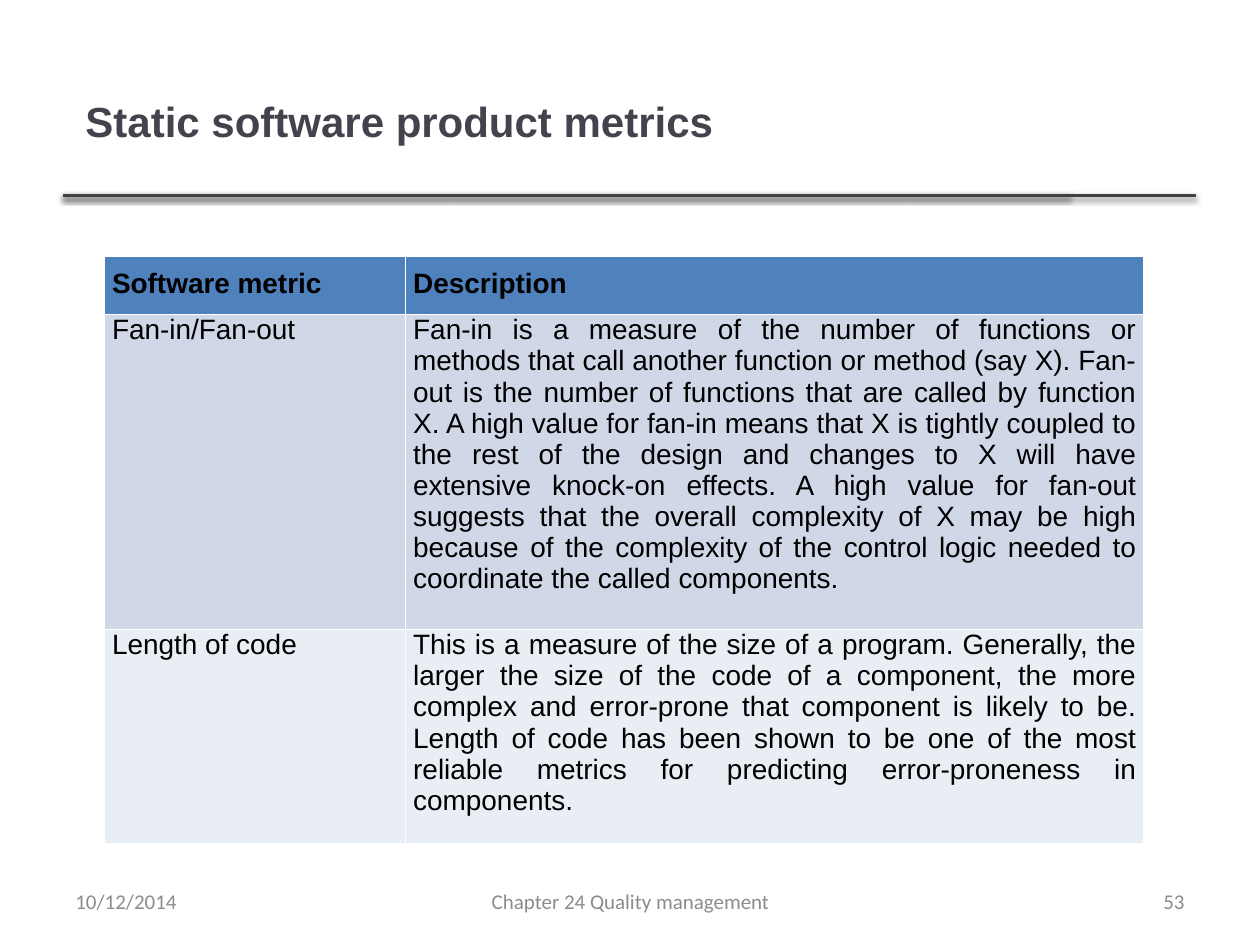
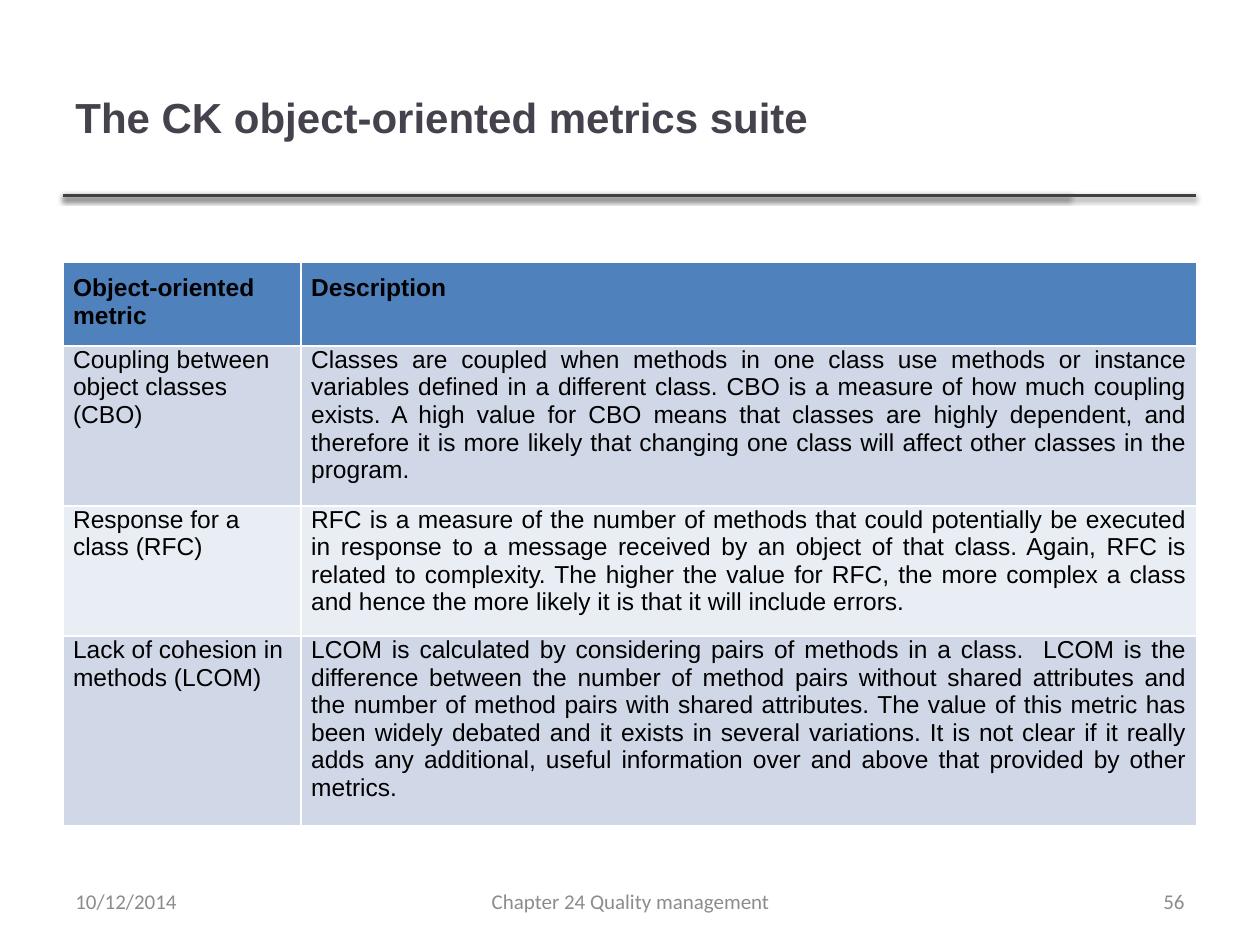
import pptx
import pptx.dml.color
import pptx.enum.shapes
import pptx.enum.text
import pptx.oxml
import pptx.oxml.ns
import pptx.util
from pptx.util import Inches

ALIGN = pptx.enum.text.PP_ALIGN
ANCHOR = pptx.enum.text.MSO_ANCHOR
NAMESPACE = pptx.oxml.ns.nsdecls("a")

TITLE_COLOUR = "46424D"
RULE_COLOUR = "404040"
FOOTER_COLOUR = "8C8C8C"
TEXT_COLOUR = "000000"
HEADER_FILL = "4F81BD"
BAND_FILLS = ["D0D8E8", "E9EDF4"]
BORDER_COLOUR = "FFFFFF"

RULE_SHADOW = (
    f'<a:effectLst {NAMESPACE}>'
    '<a:outerShdw blurRad="39400" dist="20300" dir="5400000" rotWithShape="0">'
    '<a:srgbClr val="000000"><a:alpha val="38000"/></a:srgbClr>'
    '</a:outerShdw></a:effectLst>'
)

slides = [
    {
        "title": "Static software product metrics",
        "title_box": (0.58, 0.42, 7.92, 1.08),
        "number": "53",
        "table_origin": (0.83, 2.03),
        "columns": [2.39, 5.86],
        "row_heights": [0.44, 2.32, 1.58],
        "size": 16,
        "inset": 0.06,
        "rows": [
            ("Software metric", "Description"),
            ("Fan-in/Fan-out",
             "Fan-in is a measure of the number of functions or methods that call "
             "another function or method (say X). Fan-out is the number of functions "
             "that are called by function X. A high value for fan-in means that X is "
             "tightly coupled to the rest of the design and changes to X will have "
             "extensive knock-on effects. A high value for fan-out suggests that the "
             "overall complexity of X may be high because of the complexity of the "
             "control logic needed to coordinate the called components."),
            ("Length of code",
             "This is a measure of the size of a program. Generally, the larger the "
             "size of the code of a component, the more complex and error-prone that "
             "component is likely to be. Length of code has been shown to be one of "
             "the most reliable metrics for predicting error-proneness in components."),
        ],
    },
    {
        "title": "The CK object-oriented metrics suite",
        "title_box": (0.5, 0.3, 7.98, 1.25),
        "number": "56",
        "table_origin": (0.5, 2.08),
        "columns": [1.89, 7.11],
        "row_heights": [0.63, 1.19, 0.98, 1.41],
        "size": 14,
        "inset": 0.08,
        "rows": [
            ("Object-oriented metric", "Description"),
            ("Coupling between object classes (CBO)",
             "Classes are coupled when methods in one class use methods or instance "
             "variables defined in a different class. CBO is a measure of how much "
             "coupling exists. A high value for CBO means that classes are highly "
             "dependent, and therefore it is more likely that changing one class will "
             "affect other classes in the program."),
            ("Response for a class (RFC)",
             "RFC is a measure of the number of methods that could potentially be "
             "executed in response to a message received by an object of that class. "
             "Again, RFC is related to complexity. The higher the value for RFC, the "
             "more complex a class and hence the more likely it is that it will "
             "include errors."),
            ("Lack of cohesion in methods (LCOM)",
             "LCOM is calculated by considering pairs of methods in a class.  LCOM is "
             "the difference between the number of method pairs without shared "
             "attributes and the number of method pairs with shared attributes. The "
             "value of this metric has been widely debated and it exists in several "
             "variations. It is not clear if it really adds any additional, useful "
             "information over and above that provided by other metrics."),
        ],
    },
]


def colour(value):
    """Turn a hex string into a colour."""
    return pptx.dml.color.RGBColor.from_string(value)


def write(text_frame, text, font_name, size, text_colour, bold, alignment):
    """Put one formatted paragraph in a text frame."""
    text_frame.text = text
    text_frame.word_wrap = True
    paragraph = text_frame.paragraphs[0]
    paragraph.alignment = alignment
    font = paragraph.runs[0].font
    font.name = font_name
    font.size = pptx.util.Pt(size)
    font.bold = bold
    font.color.rgb = colour(text_colour)


presentation = pptx.Presentation()
presentation.slide_width = Inches(10)
presentation.slide_height = Inches(7.5)

for content in slides:
    slide = presentation.slides.add_slide(presentation.slide_layouts[6])

    # Two overlapping rules under the title
    for rule_end in (8.49, 9.49):
        rule = slide.shapes.add_connector(
            pptx.enum.shapes.MSO_CONNECTOR.STRAIGHT,
            Inches(0.5), Inches(1.55), Inches(rule_end), Inches(1.55))
        rule.line.color.rgb = colour(RULE_COLOUR)
        rule.line.width = pptx.util.Pt(2)
        rule._element.spPr.append(pptx.oxml.parse_xml(RULE_SHADOW))

    # Title and footers
    text_boxes = [
        (content["title_box"], content["title"], "Arial", 24, TITLE_COLOUR, True, ALIGN.LEFT),
        ((3.42, 6.95, 3.17, 0.4), "Chapter 24 Quality management",
         "Calibri", 12, FOOTER_COLOUR, False, ALIGN.CENTER),
        ((7.17, 6.95, 2.33, 0.4), content["number"],
         "Calibri", 12, FOOTER_COLOUR, False, ALIGN.RIGHT),
        ((0.5, 6.95, 2.33, 0.4), "10/12/2014",
         "Calibri", 12, FOOTER_COLOUR, False, ALIGN.LEFT),
    ]
    for box, *text_style in text_boxes:
        shape = slide.shapes.add_textbox(*map(Inches, box))
        write(shape.text_frame, *text_style)
        shape.text_frame.vertical_anchor = ANCHOR.MIDDLE

    # Metrics table
    left, top = content["table_origin"]
    table = slide.shapes.add_table(
        len(content["rows"]), len(content["columns"]), Inches(left), Inches(top),
        Inches(sum(content["columns"])), Inches(sum(content["row_heights"]))).table
    for column, width in zip(table.columns, content["columns"]):
        column.width = Inches(width)

    for row_index, texts in enumerate(content["rows"]):
        table.rows[row_index].height = Inches(content["row_heights"][row_index])
        is_header = row_index == 0
        fill = HEADER_FILL if is_header else BAND_FILLS[(row_index - 1) % 2]
        for column_index, text in enumerate(texts):
            cell = table.cell(row_index, column_index)
            justified = column_index == 1 or is_header
            write(cell.text_frame, text, "Arial", content["size"], TEXT_COLOUR,
                  is_header, ALIGN.JUSTIFY if justified else ALIGN.LEFT)
            cell.margin_left = cell.margin_right = Inches(content["inset"])
            cell.margin_top = Inches(0.1 if is_header else 0)
            cell.margin_bottom = Inches(0.1)
            for side in "LRTB":
                border_width = pptx.util.Pt(1)
                cell._tc.get_or_add_tcPr().append(pptx.oxml.parse_xml(
                    f'<a:ln{side} {NAMESPACE} w="{border_width}"><a:solidFill>'
                    f'<a:srgbClr val="{BORDER_COLOUR}"/></a:solidFill></a:ln{side}>'))
            cell.fill.solid()
            cell.fill.fore_color.rgb = colour(fill)

presentation.save("out.pptx")
